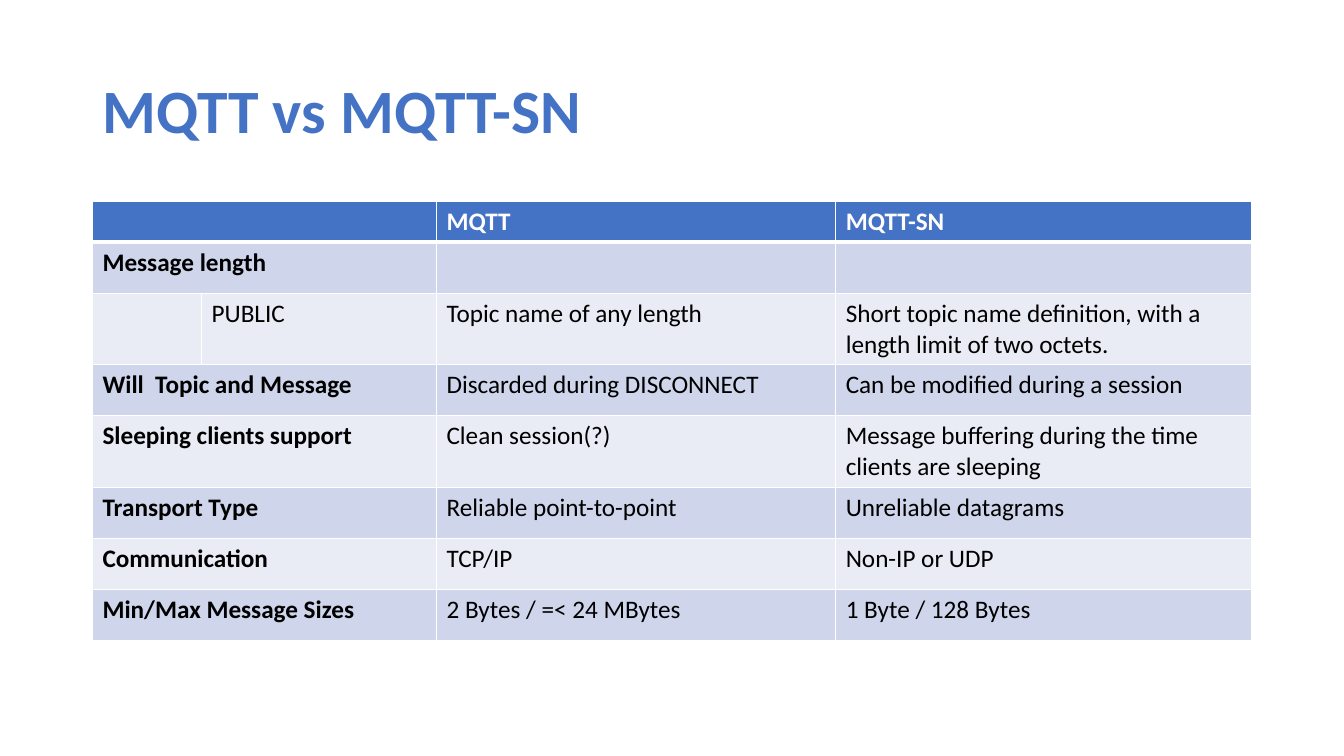
from dataclasses import dataclass

from lxml import etree
from pptx import Presentation
from pptx.dml.color import RGBColor
from pptx.enum.text import MSO_ANCHOR
from pptx.oxml.ns import qn
from pptx.util import Cm, Pt

MIDDLE = MSO_ANCHOR.MIDDLE
BLANK_LAYOUT = 6


@dataclass(frozen=True)
class Theme:
    font: str = "Calibri"
    title_size: int = 44
    table_size: int = 18
    accent: str = "4472C4"
    dark_band: str = "CFD5EA"
    light_band: str = "E9EBF5"
    text: str = "000000"
    white: str = "FFFFFF"
    border: int = 1
    header_border: int = 3


THEME = Theme()

LEFT, WIDTH = 2.33, 29.21
COLUMN_WIDTHS = (2.75, 5.92, 10.06, 10.48)
HEADER_HEIGHT, ROW_HEIGHT, TALL_ROW_HEIGHT = 1.03, 1.29, 1.8
TALL_ROWS = (2, 4)
INDENTED_ROW = 2

# The first two columns are merged in every row but the indented one.
ROWS = (
    ("", "", "MQTT", "MQTT-SN"),
    ("Message length", "", "", ""),
    ("", "PUBLIC", "Topic name of any length",
     "Short topic name definition, with a length limit of two octets."),
    ("Will  Topic and Message", "", "Discarded during DISCONNECT",
     "Can be modified during a session"),
    ("Sleeping clients support", "", "Clean session(?)",
     "Message buffering during the time clients are sleeping"),
    ("Transport Type", "", "Reliable point-to-point", "Unreliable datagrams"),
    ("Communication", "", "TCP/IP", "Non-IP or UDP"),
    ("Min/Max Message Sizes", "", "2 Bytes / =< 24 MBytes", "1 Byte / 128 Bytes"),
)


def write_text(text_frame, text, size=THEME.table_size, color=THEME.text,
               bold=False, line_spacing=None):
    paragraph = text_frame.paragraphs[0]
    paragraph.line_spacing = line_spacing
    paragraph.font.size = Pt(size)
    if not text:
        return
    run = paragraph.add_run()
    run.text = text
    run.font.name = THEME.font
    run.font.size = Pt(size)
    run.font.bold = bold
    run.font.color.rgb = RGBColor.from_string(color)


def set_borders(cell, top, bottom):
    """Draw white lines on all sides, with given top and bottom widths in points."""
    properties = cell._tc.get_or_add_tcPr()
    widths = {"a:lnL": THEME.border, "a:lnR": THEME.border, "a:lnT": top, "a:lnB": bottom}
    for position, (tag, width) in enumerate(widths.items()):
        line = etree.Element(qn(tag), w=str(Pt(width)))
        fill = etree.SubElement(line, qn("a:solidFill"))
        etree.SubElement(fill, qn("a:srgbClr"), val=THEME.white)
        properties.insert(position, line)


def row_height(row_index):
    if row_index == 0:
        return HEADER_HEIGHT
    return TALL_ROW_HEIGHT if row_index in TALL_ROWS else ROW_HEIGHT


def band_color(row_index):
    if row_index == 0:
        return THEME.accent
    return THEME.dark_band if row_index % 2 else THEME.light_band


def format_cell(cell, row_index):
    cell.fill.solid()
    cell.fill.fore_color.rgb = RGBColor.from_string(band_color(row_index))
    set_borders(cell,
                top=THEME.header_border if row_index == 1 else THEME.border,
                bottom=THEME.header_border if row_index == 0 else THEME.border)


def add_title(slide, text):
    shape = slide.shapes.add_textbox(Cm(LEFT), Cm(1.01), Cm(WIDTH), Cm(3.68))
    text_frame = shape.text_frame
    text_frame.word_wrap = True
    text_frame.vertical_anchor = MIDDLE
    write_text(text_frame, text, size=THEME.title_size, color=THEME.accent,
               bold=True, line_spacing=0.9)


def add_comparison_table(slide):
    heights = [row_height(index) for index in range(len(ROWS))]
    table = slide.shapes.add_table(len(ROWS), len(COLUMN_WIDTHS), Cm(LEFT), Cm(5.07),
                                   Cm(WIDTH), Cm(sum(heights))).table
    for column, width in zip(table.columns, COLUMN_WIDTHS):
        column.width = Cm(width)
    for row_index, texts in enumerate(ROWS):
        table.rows[row_index].height = Cm(heights[row_index])
        is_header = row_index == 0
        for column_index, text in enumerate(texts):
            cell = table.cell(row_index, column_index)
            format_cell(cell, row_index)
            write_text(cell.text_frame, text, bold=is_header or column_index == 0,
                       color=THEME.white if is_header else THEME.text)
        if row_index != INDENTED_ROW:
            table.cell(row_index, 0).merge(table.cell(row_index, 1))


def main():
    presentation = Presentation()
    presentation.slide_width = Cm(33.87)
    presentation.slide_height = Cm(19.05)
    slide = presentation.slides.add_slide(presentation.slide_layouts[BLANK_LAYOUT])
    add_title(slide, "MQTT vs MQTT-SN")
    add_comparison_table(slide)
    presentation.save("out.pptx")


if __name__ == "__main__":
    main()
